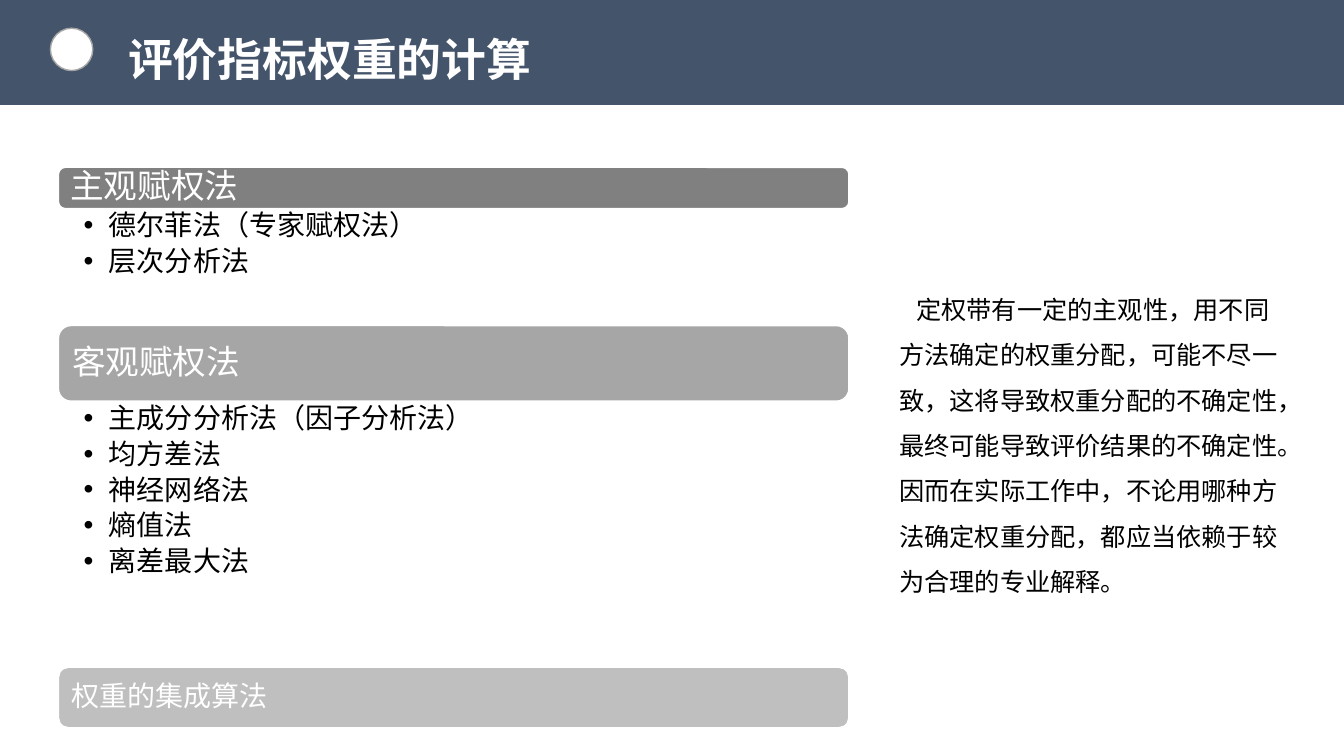
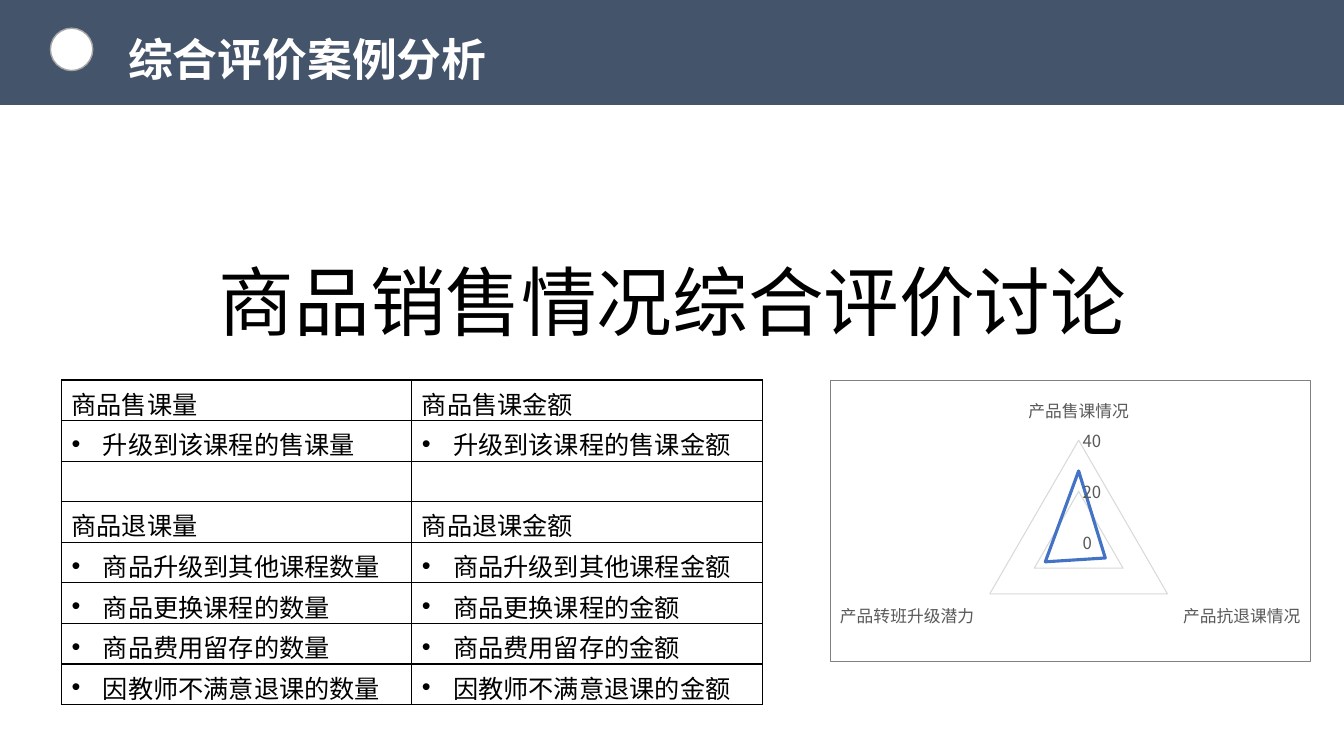
from dataclasses import dataclass

from lxml import etree
from pptx import Presentation
from pptx.chart.data import CategoryChartData
from pptx.dml.color import RGBColor
from pptx.enum.chart import XL_CHART_TYPE, XL_TICK_MARK
from pptx.enum.lang import MSO_LANGUAGE_ID
from pptx.enum.shapes import MSO_SHAPE
from pptx.enum.text import MSO_ANCHOR, MSO_AUTO_SIZE, PP_ALIGN
from pptx.oxml import parse_xml
from pptx.oxml.ns import nsdecls, qn
from pptx.util import Inches, Pt

FONT = "Noto Sans CJK SC"
COLORS = {
    "band": "44546A",
    "white": "FFFFFF",
    "black": "000000",
    "dot_line": "A5A5A5",
    "subjective": "808080",
    "objective": "A6A6A6",
    "integrated": "BFBFBF",
    "axis_text": "595959",
    "grid": "D9D9D9",
    "series": "4472C4",
}
LIST_LEFT, LIST_WIDTH = 0.58, 7.84


@dataclass(frozen=True)
class Box:
    left: float
    top: float
    width: float
    height: float

    def lengths(self) -> tuple:
        return tuple(Inches(value) for value in (self.left, self.top, self.width, self.height))


@dataclass(frozen=True)
class MethodGroup:
    heading: str
    color: str
    size: int
    top: float
    height: float
    list_height: float = 0
    methods: tuple = ()


@dataclass(frozen=True)
class TableRow:
    cells: tuple
    bulleted: bool = False


METHOD_GROUPS = (
    MethodGroup("主观赋权法", "subjective", 24, 1.66, 0.41, 1.16,
                ("德尔菲法（专家赋权法）", "层次分析法")),
    MethodGroup("客观赋权法", "objective", 24, 3.23, 0.75, 2.6,
                ("主成分分析法（因子分析法）", "均方差法", "神经网络法", "熵值法", "离差最大法")),
    MethodGroup("权重的集成算法", "integrated", 20, 6.62, 0.6),
)
WEIGHT_NOTE = (
    "定权带有一定的主观性，用不同方法确定的权重分配，可能不尽一致，"
    "这将导致权重分配的不确定性，最终可能导致评价结果的不确定性。"
    "因而在实际工作中，不论用哪种方法确定权重分配，都应当依赖于较为合理的专业解释。"
)
TABLE_ROWS = (
    TableRow(("商品售课量", "商品售课金额")),
    TableRow(("升级到该课程的售课量", "升级到该课程的售课金额"), True),
    TableRow(("", "")),
    TableRow(("商品退课量", "商品退课金额")),
    TableRow(("商品升级到其他课程数量", "商品升级到其他课程金额"), True),
    TableRow(("商品更换课程的数量", "商品更换课程的金额"), True),
    TableRow(("商品费用留存的数量", "商品费用留存的金额"), True),
    TableRow(("因教师不满意退课的数量", "因教师不满意退课的金额"), True),
)
RADAR_VALUES = {"产品售课情况": 28, "产品抗退课情况": 12, "产品转班升级潜力": 15}


def rgb(name: str) -> RGBColor:
    return RGBColor.from_string(COLORS[name])


def style_font(font, size: int, color: str = "black", bold: bool = False) -> None:
    font.name = FONT
    font.size = Pt(size)
    font.bold = bold
    font.color.rgb = rgb(color)


def style_paragraph(paragraph, size: int, color: str = "black", bold: bool = False,
                    spacing: float = 1.0, after: float = 0, align=PP_ALIGN.LEFT) -> None:
    paragraph.alignment = align
    paragraph.line_spacing = spacing
    paragraph.space_before = Pt(0)
    paragraph.space_after = Pt(after)
    for run in paragraph.runs:
        style_font(run.font, size, color, bold)
        run.font.language_id = MSO_LANGUAGE_ID.SIMPLIFIED_CHINESE


def set_indent(paragraph, left: float, first: float) -> None:
    properties = paragraph._p.get_or_add_pPr()
    properties.set("marL", str(Inches(left)))
    properties.set("indent", str(Inches(first)))


def add_bullet(paragraph, hanging: float) -> None:
    set_indent(paragraph, hanging, -hanging)
    properties = paragraph._p.get_or_add_pPr()
    etree.SubElement(properties, qn("a:buFont")).set("typeface", "Arial")
    etree.SubElement(properties, qn("a:buChar")).set("char", "•")


def set_insets(text_frame, left: float, top: float, right: float, bottom: float) -> None:
    text_frame.margin_left, text_frame.margin_top = Inches(left), Inches(top)
    text_frame.margin_right, text_frame.margin_bottom = Inches(right), Inches(bottom)


def place(shape, box: Box) -> None:
    shape.left, shape.top, shape.width, shape.height = box.lengths()


def add_filled_shape(slide, kind, box: Box, fill: str, line: str = ""):
    shape = slide.shapes.add_shape(kind, *box.lengths())
    shape.shadow.inherit = False
    shape.fill.solid()
    shape.fill.fore_color.rgb = rgb(fill)
    if line:
        shape.line.color.rgb = rgb(line)
        shape.line.width = Pt(1)
    else:
        shape.line.fill.background()
    return shape


def put_band_on_master(presentation, slide) -> None:
    """Draw the header band on a slide, then move it behind everything on the master."""
    band = add_filled_shape(slide, MSO_SHAPE.RECTANGLE, Box(0, 0, 13.34, 1.04), "band")
    dot = add_filled_shape(slide, MSO_SHAPE.OVAL, Box(0.5, 0.28, 0.42, 0.42), "white", "dot_line")
    master_tree = presentation.slide_master.shapes.element
    for offset, shape in enumerate((band, dot)):
        shape.element.nvSpPr.cNvPr.set("id", str(100 + offset))
        master_tree.insert(2 + offset, shape.element)


def set_title(slide, text: str) -> None:
    title = slide.shapes.title
    place(title, Box(1.17, 0, 5.5, 0.81))
    text_frame = title.text_frame
    text_frame.text = text
    text_frame.word_wrap = True
    text_frame.auto_size = MSO_AUTO_SIZE.SHAPE_TO_FIT_TEXT
    text_frame.vertical_anchor = MSO_ANCHOR.TOP
    style_paragraph(text_frame.paragraphs[0], 32, "white", True, spacing=1.5)


def add_text(slide, box: Box, text: str, size: int, align=PP_ALIGN.LEFT, anchor=MSO_ANCHOR.TOP):
    text_frame = slide.shapes.add_textbox(*box.lengths()).text_frame
    text_frame.text = text
    text_frame.word_wrap = True
    text_frame.auto_size = MSO_AUTO_SIZE.SHAPE_TO_FIT_TEXT
    text_frame.vertical_anchor = anchor
    paragraph = text_frame.paragraphs[0]
    style_paragraph(paragraph, size, spacing=1.5, align=align)
    return paragraph


def add_group_heading(slide, group: MethodGroup) -> None:
    box = Box(LIST_LEFT, group.top, LIST_WIDTH, group.height)
    bar = add_filled_shape(slide, MSO_SHAPE.ROUNDED_RECTANGLE, box, group.color, "white")
    text_frame = bar.text_frame
    text_frame.text = group.heading
    text_frame.word_wrap = True
    text_frame.vertical_anchor = MSO_ANCHOR.MIDDLE
    set_insets(text_frame, 0.1, 0, 0.1, 0)
    style_paragraph(text_frame.paragraphs[0], group.size, "white", spacing=0.9)


def fill_method_list(placeholder, group: MethodGroup) -> None:
    place(placeholder, Box(LIST_LEFT, group.top + group.height, LIST_WIDTH, group.list_height))
    text_frame = placeholder.text_frame
    text_frame.text = "\n".join(group.methods)
    text_frame.auto_size = MSO_AUTO_SIZE.NONE
    text_frame.vertical_anchor = MSO_ANCHOR.TOP
    set_insets(text_frame, 0.25, 0.03, 0.16, 0.03)
    for paragraph in text_frame.paragraphs:
        style_paragraph(paragraph, 20, spacing=0.9, after=4)
        add_bullet(paragraph, 0.25)


def add_cell_borders(cell) -> None:
    properties = cell._tc.get_or_add_tcPr()
    for side in ("lnL", "lnR", "lnT", "lnB"):
        properties.append(parse_xml(
            f'<a:{side} {nsdecls("a")} w="{Pt(1)}"><a:solidFill>'
            f'<a:srgbClr val="{COLORS["black"]}"/></a:solidFill></a:{side}>'))


def add_indicator_table(slide, box: Box) -> None:
    table = slide.shapes.add_table(len(TABLE_ROWS), 2, *box.lengths()).table
    table.first_row = False
    table.horz_banding = False
    for row_index, row in enumerate(TABLE_ROWS):
        for column_index, text in enumerate(row.cells):
            cell = table.cell(row_index, column_index)
            add_cell_borders(cell)
            cell.fill.background()
            cell.text_frame.text = text
            paragraph = cell.text_frame.paragraphs[0]
            style_paragraph(paragraph, 18)
            if row.bulleted:
                add_bullet(paragraph, 0.31)


def add_radar_chart(slide, box: Box) -> None:
    data = CategoryChartData()
    data.categories = list(RADAR_VALUES)
    data.add_series("Series 1", list(RADAR_VALUES.values()))
    chart = slide.shapes.add_chart(XL_CHART_TYPE.RADAR, *box.lengths(), data).chart
    chart.has_title = False
    chart.has_legend = False
    style_font(chart.font, 10)
    plot = chart.plots[0]
    plot.vary_by_categories = False
    line = plot.series[0].format.line
    line.color.rgb = rgb("series")
    line.width = Pt(2.25)

    for axis in (chart.category_axis, chart.value_axis):
        axis.major_tick_mark = axis.minor_tick_mark = XL_TICK_MARK.NONE
        style_font(axis.tick_labels.font, 12, "axis_text")
    value_axis = chart.value_axis
    value_axis.minimum_scale, value_axis.maximum_scale, value_axis.major_unit = 0, 40, 20
    value_axis.format.line.fill.background()
    value_axis.has_major_gridlines = True
    for grid_line in (chart.category_axis.format.line, value_axis.major_gridlines.format.line):
        grid_line.color.rgb = rgb("grid")
        grid_line.width = Pt(0.75)

    border = parse_xml(
        f'<c:spPr {nsdecls("c", "a")}><a:noFill/><a:ln w="{Pt(0.75)}"><a:solidFill>'
        f'<a:srgbClr val="{COLORS["subjective"]}"/></a:solidFill></a:ln></c:spPr>')
    chart.element.find(qn("c:chart")).addnext(border)


def build_weights_slide(slide) -> None:
    set_title(slide, "评价指标权重的计算")
    note = add_text(slide, Box(8.82, 2.72, 4.1, 3.23), WEIGHT_NOTE, 18)
    set_indent(note, 0, 0.17)
    for group in METHOD_GROUPS:
        add_group_heading(slide, group)
    for index, group in enumerate(METHOD_GROUPS[:2], start=1):
        fill_method_list(slide.placeholders[index], group)


def build_case_slide(slide) -> None:
    set_title(slide, "综合评价案例分析")
    add_text(slide, Box(1.33, 2.1, 10.68, 1.3), "商品销售情况综合评价讨论", 54,
             PP_ALIGN.CENTER, MSO_ANCHOR.MIDDLE)
    add_radar_chart(slide, Box(8.23, 3.77, 4.77, 2.8))
    add_indicator_table(slide, Box(0.61, 3.77, 6.95, 3.22))


def main() -> None:
    presentation = Presentation()
    presentation.slide_width, presentation.slide_height = Inches(13.33), Inches(7.5)
    two_content, title_only = (presentation.slide_layouts[index] for index in (3, 5))
    weights_slide = presentation.slides.add_slide(two_content)
    put_band_on_master(presentation, weights_slide)
    build_weights_slide(weights_slide)
    build_case_slide(presentation.slides.add_slide(title_only))
    presentation.save("out.pptx")


if __name__ == "__main__":
    main()
